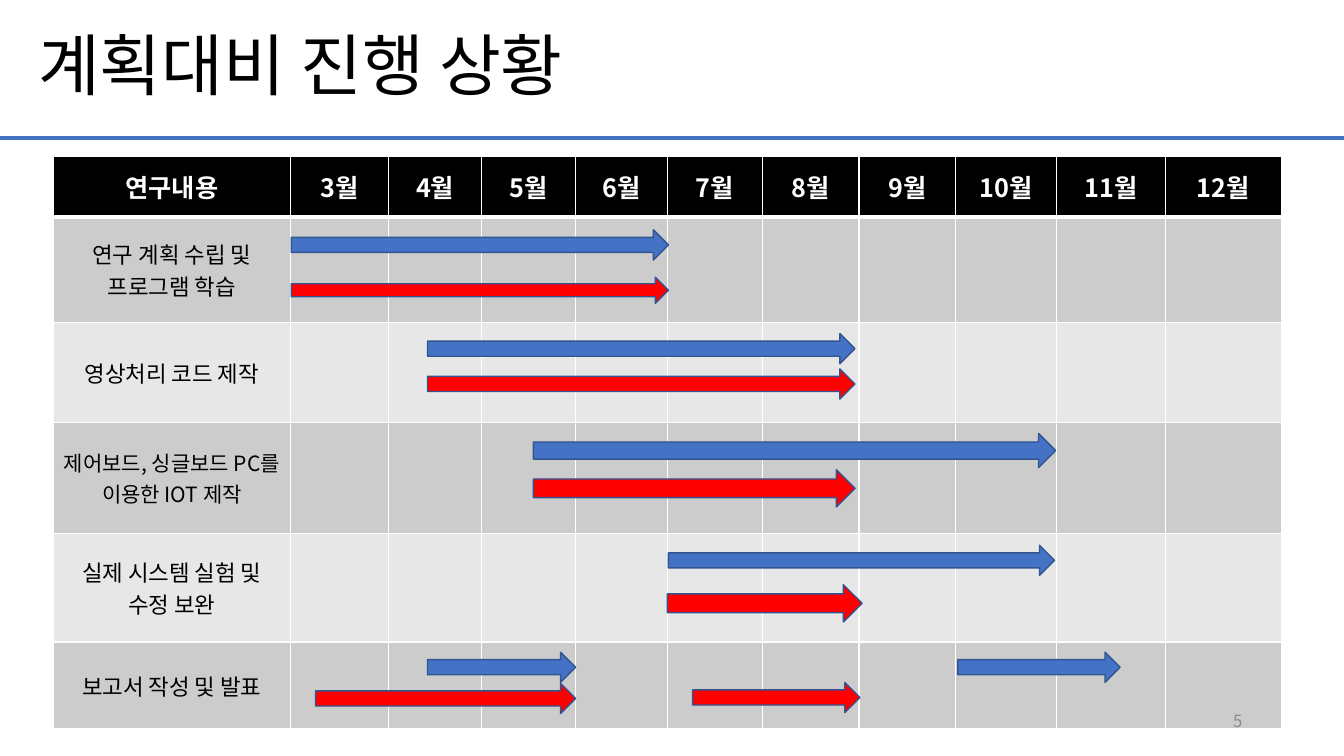
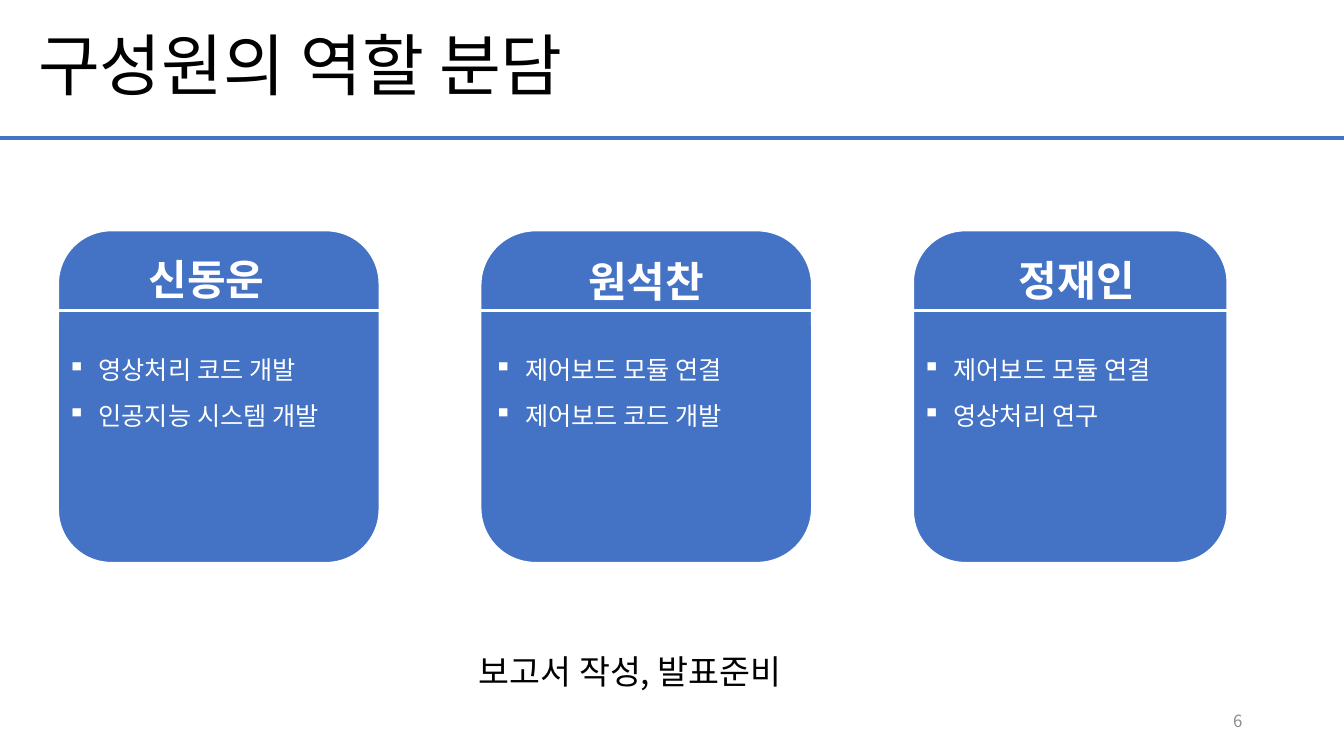
from lxml import etree
from pptx import Presentation
from pptx.dml.color import RGBColor
from pptx.enum import shapes, text
from pptx.oxml import ns
from pptx.util import Inches, Pt

FONT = "Noto Sans CJK KR"
BLACK = RGBColor(0x00, 0x00, 0x00)
WHITE = RGBColor(0xFF, 0xFF, 0xFF)
BLUE = RGBColor(0x44, 0x72, 0xC4)
NAVY = RGBColor(0x32, 0x54, 0x91)
RED = RGBColor(0xFF, 0x00, 0x00)
GRAY = RGBColor(0x8C, 0x8C, 0x8C)
DARK = RGBColor(0xCC, 0xCC, 0xCC)
LIGHT = RGBColor(0xE7, 0xE7, 0xE7)

LEFT, CENTER, RIGHT = (
    text.PP_ALIGN.LEFT, text.PP_ALIGN.CENTER, text.PP_ALIGN.RIGHT)
TOP, MIDDLE = text.MSO_ANCHOR.TOP, text.MSO_ANCHOR.MIDDLE

# Schedule: columns, and each task with its text size and row height
COLS = [2.35, 0.97, 0.93, 0.93, 0.91, 0.94, 0.96, 0.96, 1, 1.08, 1.15]
HEADS = ["연구내용"] + [f"{month}월" for month in range(3, 13)]
TASKS = [
    ("연구 계획 수립 및\n프로그램 학습", 16, 1.05),
    ("영상처리 코드 제작", 16, 0.99),
    ("제어보드, 싱글보드 PC를 이용한 IOT 제작", 15, 1.1),
    ("실제 시스템 실험 및 수정 보완", 16, 1.08),
    ("보고서 작성 및 발표", 16, 0.86),
]

# Arrows: left, top, width, height
PLANNED = [
    (2.89, 2.28, 3.74, 0.3),
    (4.24, 3.31, 4.24, 0.3),
    (5.29, 4.3, 5.18, 0.34),
    (6.63, 5.41, 3.83, 0.3),
    (4.24, 6.47, 1.47, 0.3),
    (9.5, 6.47, 1.61, 0.3),
]
ACTUAL = [
    (2.89, 2.75, 3.74, 0.26),
    (4.24, 3.66, 4.24, 0.3),
    (5.29, 4.66, 3.19, 0.37),
    (6.62, 5.8, 1.93, 0.37),
    (3.13, 6.78, 2.58, 0.3),
    (6.87, 6.77, 1.66, 0.3),
]

# Members: card left and width, name left and top, list left, name, roles
MEMBERS = [
    (0.57, 3.2, 1.32, 2.47, 0.57, "신동운",
     ["영상처리 코드 개발", "인공지능 시스템 개발"]),
    (4.76, 3.3, 5.68, 2.49, 4.8, "원석찬",
     ["제어보드 모듈 연결", "제어보드 코드 개발"]),
    (9.05, 3.13, 9.95, 2.48, 9.05, "정재인",
     ["제어보드 모듈 연결", "영상처리 연구"]),
]


def add_sub(parent, tag, **attrs):
    return etree.SubElement(parent, ns.qn(tag), **attrs)


def style(para, size, color, bold=False, align=LEFT, space=None):
    para.alignment = align
    if space:
        para.line_spacing = space
    font = para.font
    font.name, font.size, font.bold = FONT, Pt(size), bold
    font.color.rgb = color
    add_sub(font._element, "a:ea", typeface=FONT)


def add_bullet(para):
    props = para._p.get_or_add_pPr()
    indent = Inches(0.31)
    props.set("marL", str(indent))
    props.set("indent", str(-indent))
    add_sub(props, "a:buChar", char="▪")


def add_text(slide, lines, box, size, color, anchor=TOP, wrap=True,
             bullet=False, **look):
    frame = slide.shapes.add_textbox(*map(Inches, box)).text_frame
    frame.word_wrap = wrap
    frame.vertical_anchor = anchor
    frame.text = "\n".join(lines)
    for para in frame.paragraphs:
        if bullet:
            add_bullet(para)
        style(para, size, color, **look)


def add_shape(slide, kind, box, fill, edge, width):
    shape = slide.shapes.add_shape(kind, *map(Inches, box))
    shape.shadow.inherit = False
    shape.fill.solid()
    shape.fill.fore_color.rgb = fill
    shape.line.color.rgb = edge
    shape.line.width = Pt(width)
    return shape


def add_rule(slide, left, right, top, color, width):
    rule = slide.shapes.add_connector(
        shapes.MSO_CONNECTOR.STRAIGHT,
        Inches(left), Inches(top), Inches(right), Inches(top))
    rule.line.color.rgb = color
    rule.line.width = Pt(width)
    add_sub(rule.element.spPr, "a:effectLst")


def set_edge(cell, side, width):
    props = cell._tc.get_or_add_tcPr()
    edge = add_sub(props, f"a:ln{side}", w=str(Pt(width)))
    fill = add_sub(edge, "a:solidFill")
    add_sub(fill, "a:srgbClr", val=str(WHITE))


def fill_cell(cell, words, fill, size, color, bold, top, bottom):
    for side, width in zip("LRTB", (1, 1, top, bottom)):
        set_edge(cell, side, width)
    cell.fill.solid()
    cell.fill.fore_color.rgb = fill
    cell.vertical_anchor = MIDDLE
    cell.text = words
    for para in cell.text_frame.paragraphs:
        style(para, size, color, bold, CENTER)


def add_table(slide):
    heights = [0.6] + [task[2] for task in TASKS]
    box = (0.53, 1.55, sum(COLS), sum(heights))
    table = slide.shapes.add_table(
        len(heights), len(COLS), *map(Inches, box)).table
    table.horz_banding = False
    for col, width in zip(table.columns, COLS):
        col.width = Inches(width)
    for row, height in zip(table.rows, heights):
        row.height = Inches(height)
    for col, head in enumerate(HEADS):
        fill_cell(table.cell(0, col), head, BLACK, 18, WHITE, True, 1, 3)
    for row, (task, size, _) in enumerate(TASKS, 1):
        fill = DARK if row % 2 else LIGHT
        top = 3 if row == 1 else 1
        for col in range(len(COLS)):
            words = "" if col else task
            fill_cell(table.cell(row, col), words, fill, size, BLACK,
                      False, top, 1)


def add_card(slide, left, width, name_x, name_y, list_x, name, roles):
    add_shape(slide, shapes.MSO_SHAPE.ROUNDED_RECTANGLE,
              (left, 2.28, width, 3.31), BLUE, WHITE, 2.25)
    add_rule(slide, left, left + width, 3.08, WHITE, 2.25)
    add_text(slide, [name], (name_x, name_y, 1.46, 0.61), 30, WHITE,
             wrap=False, bold=True, align=CENTER)
    add_text(slide, roles, (list_x, 3.32, 3.1, 0.95), 18, WHITE,
             bullet=True, space=1.5)


def add_slide(deck, title, number):
    slide = deck.slides.add_slide(deck.slide_layouts[6])
    add_text(slide, [title], (0.28, 0, 11.5, 1.37), 48, BLACK,
             anchor=MIDDLE, space=0.9)
    add_rule(slide, 0, 13.33, 1.37, BLUE, 3)
    return slide


def add_number(slide, number):
    add_text(slide, [str(number)], (9.42, 6.95, 3, 0.4), 12, GRAY,
             anchor=MIDDLE, align=RIGHT)


def build_plan(deck):
    slide = add_slide(deck, "계획대비 진행 상황", 5)
    add_table(slide)
    add_number(slide, 5)
    for boxes, color in ((PLANNED, BLUE), (ACTUAL, RED)):
        for box in boxes:
            add_shape(slide, shapes.MSO_SHAPE.RIGHT_ARROW, box,
                      color, NAVY, 1)


def build_team(deck):
    slide = add_slide(deck, "구성원의 역할 분담", 6)
    add_number(slide, 6)
    for member in MEMBERS:
        add_card(slide, *member)
    # Shared work
    shared = add_shape(slide, shapes.MSO_SHAPE.ROUNDED_RECTANGLE,
                       (3.61, 6.07, 5.28, 0.98), WHITE, WHITE, 2.25)
    frame = shared.text_frame
    frame.vertical_anchor = MIDDLE
    frame.text = "보고서 작성, 발표준비"
    style(frame.paragraphs[0], 24, BLACK, align=CENTER, space=1.5)


def main():
    deck = Presentation()
    deck.slide_width, deck.slide_height = Inches(13.33), Inches(7.5)
    build_plan(deck)
    build_team(deck)
    deck.save("out.pptx")


if __name__ == "__main__":
    main()
